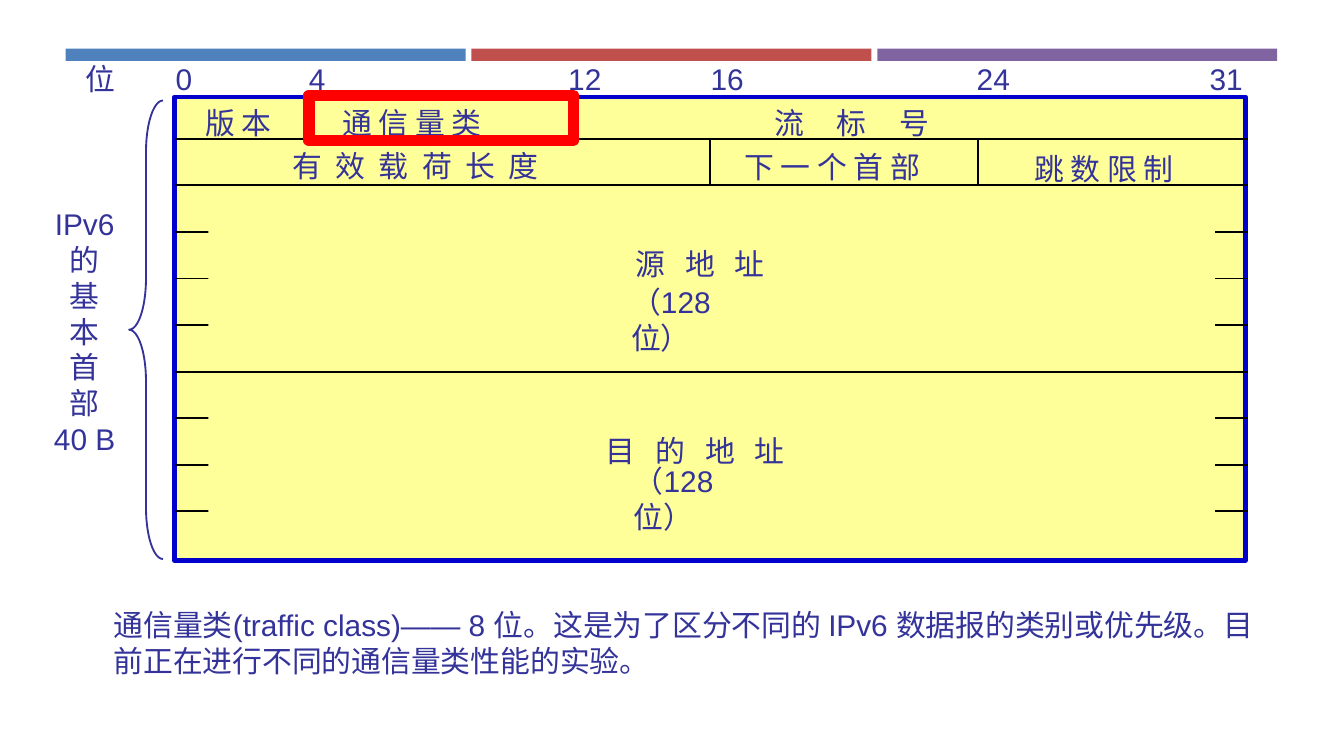
from typing import NamedTuple, Optional

from lxml.etree import SubElement
from pptx import Presentation
from pptx.dml.color import RGBColor
from pptx.enum.shapes import MSO_CONNECTOR, MSO_SHAPE
from pptx.enum.text import MSO_AUTO_SIZE, PP_ALIGN
from pptx.oxml.ns import qn
from pptx.util import Cm, Pt

INDIGO = RGBColor(0x33, 0x33, 0x99)
YELLOW = RGBColor(0xFF, 0xFF, 0x99)
BLUE = RGBColor(0x00, 0x00, 0xCC)
RED = RGBColor(0xFF, 0x00, 0x00)
BLACK = RGBColor(0x00, 0x00, 0x00)
STRIPES = (RGBColor(0x4F, 0x81, 0xBD), RGBColor(0xC0, 0x50, 0x4D),
           RGBColor(0x80, 0x64, 0xA2))

# Header grid, in cm: 32 bits wide, rows below the first one are equal
LEFT, TOP, WIDTH, HEIGHT = 3.3, 1.83, 20.24, 8.76
BIT = WIDTH / 32
ROW_TOP, ROW = 2.62, 0.88
ROW_LINES = 9
LABEL_H = 0.94


class Box(NamedTuple):
    left: float
    top: float
    width: float
    height: float


class Label(NamedTuple):
    text: str
    box: Box
    spacing: float = 0  # extra points after each character
    align: Optional[PP_ALIGN] = None
    wrap: bool = False
    right_inset: float = 0.25


class Divider(NamedTuple):
    bit: int
    top: float
    bottom: float


BIT_LABELS = [
    Label(text, Box(left, 1.02, width, LABEL_H))
    for text, left, width in (
        ("位", 1.37, 1.07), ("0", 3.07, 0.81), ("4", 5.59, 0.81),
        ("12", 10.49, 1.14), ("16", 13.18, 1.14), ("24", 18.21, 1.14),
        ("31", 22.61, 1.14))
]

FIELD_LABELS = [
    Label("版 本", Box(3.63, 1.85, 1.8, LABEL_H)),
    Label("通 信 量 类", Box(6.22, 1.85, 3.28, LABEL_H)),
    Label("流 标 号", Box(14.38, 1.85, 3.81, LABEL_H), 7.1),
    Label("有 效 载 荷 长 度", Box(5.28, 2.67, 5.54, LABEL_H), 1.8),
    Label("下 一 个 首 部", Box(13.82, 2.69, 3.99, LABEL_H)),
    Label("跳 数 限 制", Box(19.3, 2.72, 3.28, LABEL_H)),
    Label("源 地 址", Box(11.76, 4.52, 3.18, LABEL_H), 3.55),
    Label("（128 位）", Box(11.68, 5.23, 3.33, LABEL_H),
          wrap=True, right_inset=1),
    Label("目 的 地 址", Box(11.2, 8.05, 4.24, LABEL_H), 3.55),
    Label("（128 位）", Box(11.73, 8.61, 3.33, LABEL_H),
          wrap=True, right_inset=1),
]

SIDE_LABEL = Label("IPv6\n的\n基\n本\n首\n部\n40 B", Box(0.76, 3.76, 1.68, 5.72),
                   align=PP_ALIGN.CENTER)
NOTE = Label("通信量类(traffic class)—— 8 位。这是为了区分不同的 IPv6 数据报的类别或优先级。"
             "目前正在进行不同的通信量类性能的实验。",
             Box(1.9, 11.33, 22.12, 1.63), wrap=True)

DIVIDERS = [
    Divider(4, TOP, ROW_TOP), Divider(12, TOP, ROW_TOP),
    Divider(16, ROW_TOP, ROW_TOP + ROW), Divider(24, ROW_TOP, ROW_TOP + ROW),
]


def add_box(s, box: Box, fill: Optional[RGBColor] = None,
            line: Optional[RGBColor] = None, weight: float = 1,
            kind: MSO_SHAPE = MSO_SHAPE.RECTANGLE):
    sp = s.shapes.add_shape(kind, *map(Cm, box))
    sp.shadow.inherit = False
    if fill is None:
        sp.fill.background()
    else:
        sp.fill.solid()
        sp.fill.fore_color.rgb = fill
    if line is None:
        sp.line.fill.background()
    else:
        sp.line.color.rgb = line
        sp.line.width = Pt(weight)
    return sp


def add_line(s, x1: float, y1: float, x2: float, y2: float) -> None:
    c = s.shapes.add_connector(MSO_CONNECTOR.STRAIGHT,
                               Cm(x1), Cm(y1), Cm(x2), Cm(y2))
    c.line.color.rgb = BLACK
    c.line.width = Pt(1)
    SubElement(c._element.spPr, qn("a:effectLst"))


def add_label(s, label: Label) -> None:
    tf = s.shapes.add_textbox(*map(Cm, label.box)).text_frame
    tf.word_wrap = label.wrap
    tf.auto_size = MSO_AUTO_SIZE.SHAPE_TO_FIT_TEXT
    tf.margin_right = Cm(label.right_inset)
    tf.text = label.text
    for p in tf.paragraphs:
        p.alignment = label.align
        p.font.name = "Arial"
        p.font.size = Pt(16)
        p.font.color.rgb = INDIGO
        if label.spacing:
            for r in p.runs:
                r._r.get_or_add_rPr().set("spc", str(round(label.spacing * 100)))


def main() -> None:
    prs = Presentation()
    prs.slide_width, prs.slide_height = Cm(25.4), Cm(14.28)
    s = prs.slides.add_slide(prs.slide_layouts[6])

    # Coloured stripes
    for i, color in enumerate(STRIPES):
        add_box(s, Box(1.24 + 7.67 * i, 0.92, 7.56, 0.23), color)

    # Header frame, rows and field dividers
    add_box(s, Box(LEFT, TOP, WIDTH, HEIGHT), YELLOW, BLUE, 2.25)
    for i in range(ROW_LINES):
        y = ROW_TOP + ROW * i
        add_line(s, LEFT, y, LEFT + WIDTH + 0.05, y)
    for d in DIVIDERS:
        x = LEFT + BIT * d.bit
        add_line(s, x, d.top, x, d.bottom)

    # Address areas leave only ticks of the inner row lines
    for top in (4.09, 7.62):
        add_box(s, Box(3.94, top, 19.02, 2.36), YELLOW)

    # Labels
    for label in (*BIT_LABELS, *FIELD_LABELS, SIDE_LABEL, NOTE):
        add_label(s, label)

    # Brace and highlighted traffic class
    brace = add_box(s, Box(2.44, 1.9, 0.64, 8.66), line=INDIGO,
                    kind=MSO_SHAPE.LEFT_BRACE)
    brace.adjustments[0] = 1.52
    add_box(s, Box(5.84, 1.8, 5, 0.86), line=RED, weight=6)

    prs.save("out.pptx")


if __name__ == "__main__":
    main()
